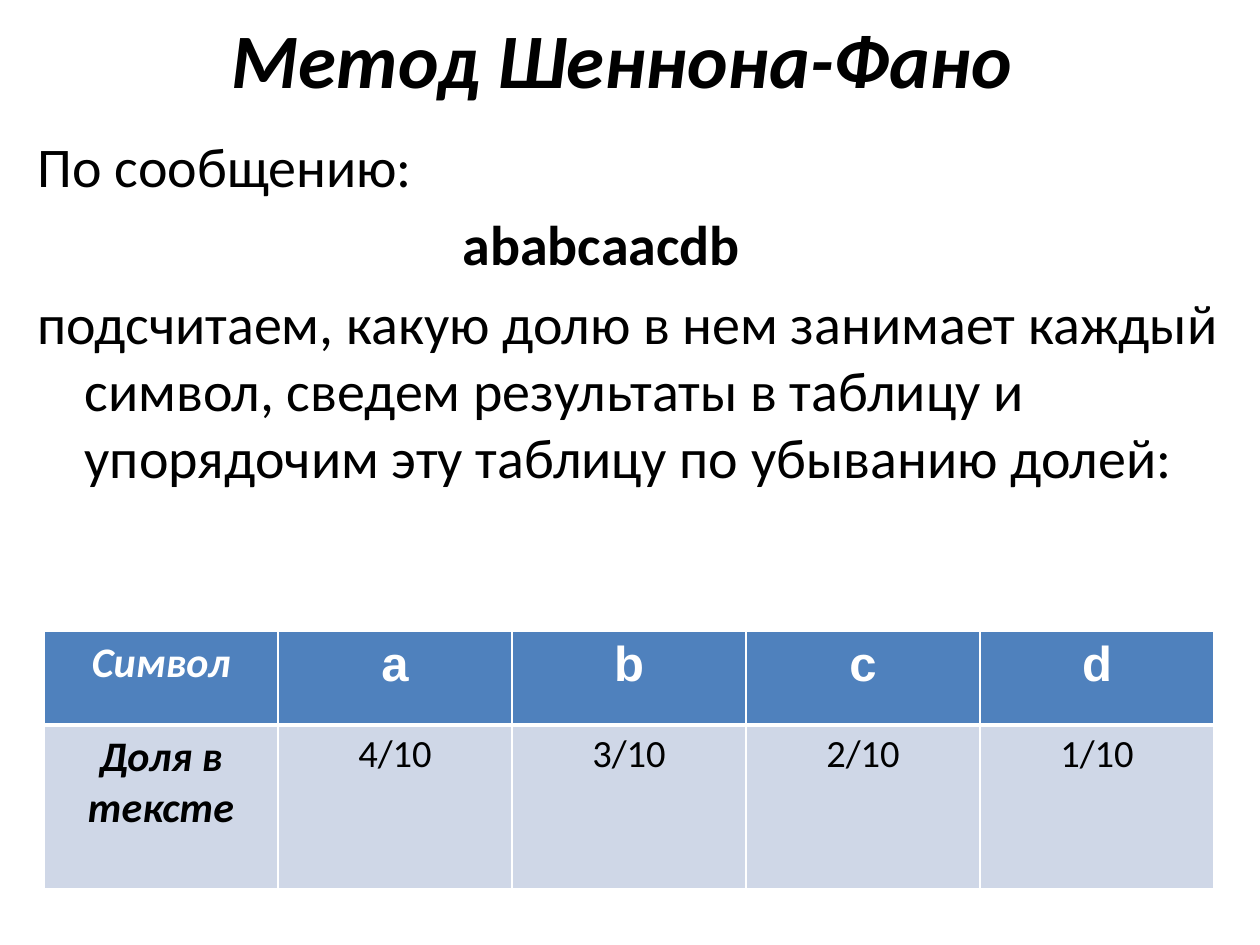
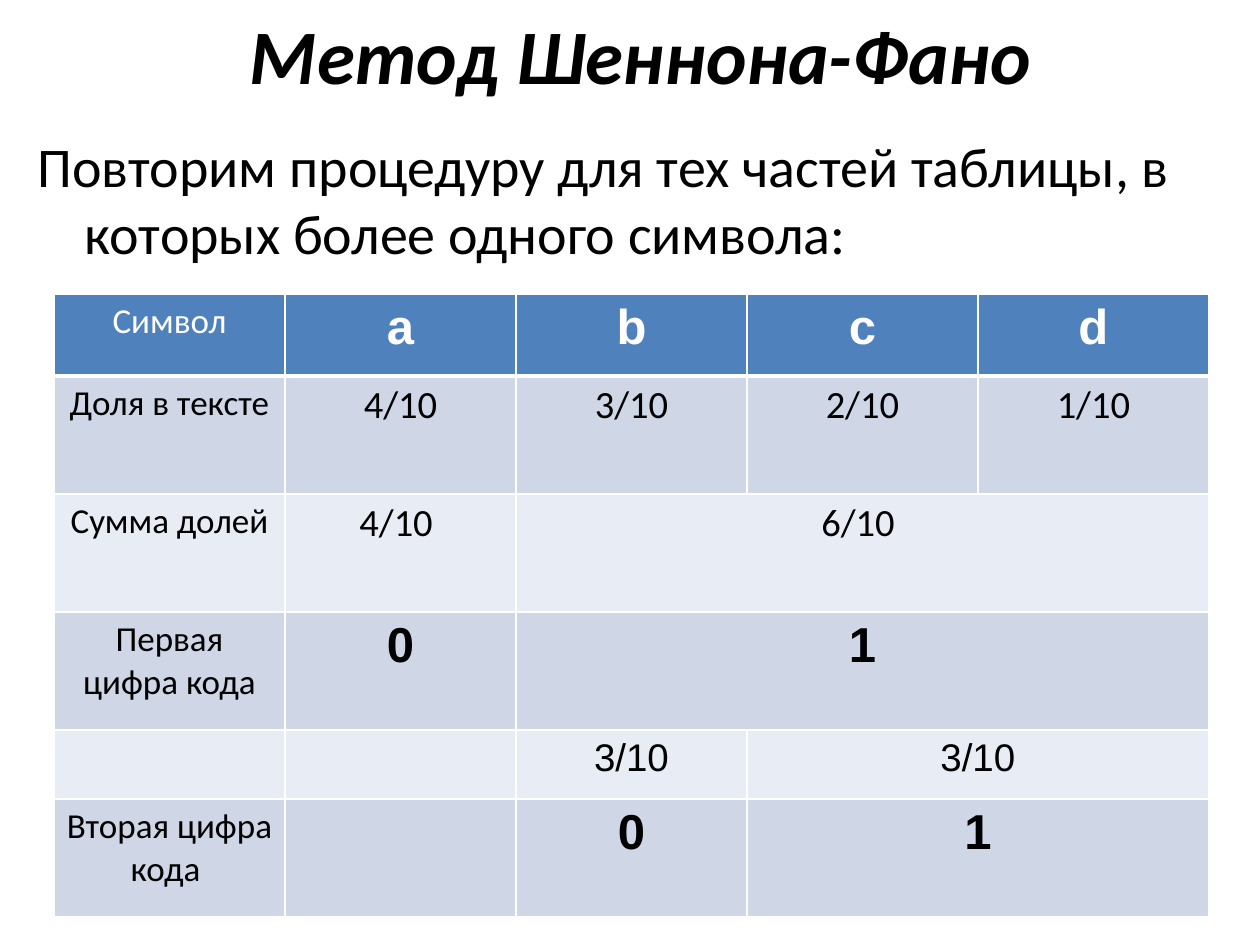
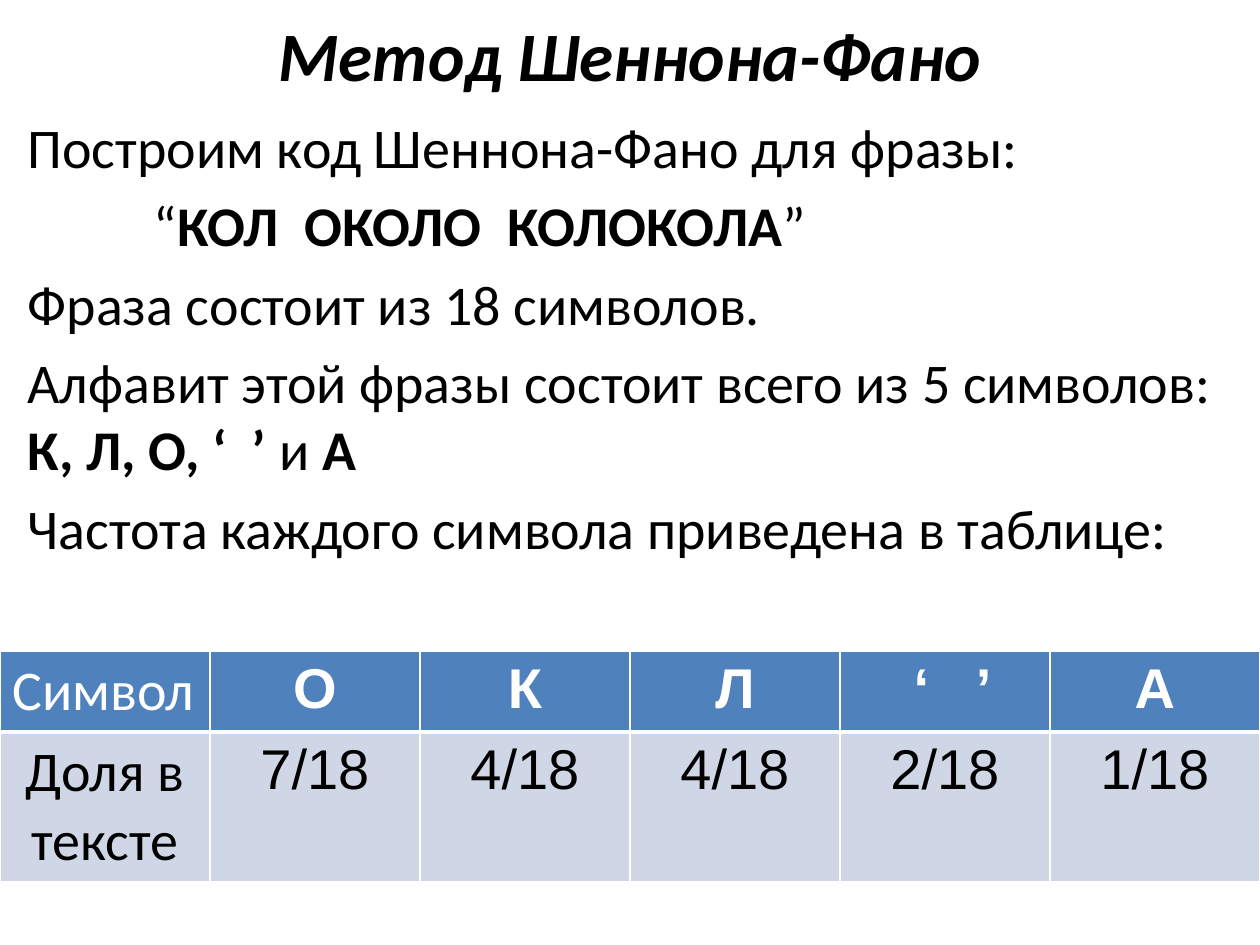
from lxml.etree import SubElement
from pptx import Presentation
from pptx.dml.color import RGBColor
from pptx.enum.text import MSO_ANCHOR, MSO_AUTO_SIZE, PP_ALIGN
from pptx.oxml import parse_xml
from pptx.oxml.ns import nsdecls, qn
from pptx.util import Emu, Pt

THEME = {
    "ink": "000000",
    "paper": "FFFFFF",
    "header": "4F81BD",
    "bands": ["E8ECF4", "CFD7E7"],
    "thin": Pt(1),
    "thick": Pt(3),
    "gap": Pt(6.4),
    "fonts": {
        "title": {"name": "Calibri", "size": Pt(44), "bold": True, "italic": True},
        "small title": {"name": "Calibri", "size": Pt(39.6), "bold": True, "italic": True},
        "body": {"name": "Calibri", "size": Pt(32), "bold": False},
        "strong": {"name": "Calibri", "size": Pt(32), "bold": True},
        "accent": {"name": "Calibri", "size": Pt(24), "bold": True, "italic": True},
        "label": {"name": "Calibri", "size": Pt(20), "bold": False},
        "symbol": {"name": "Arial", "size": Pt(28), "bold": True},
        "share": {"name": "Calibri", "size": Pt(22), "bold": False},
        "subtotal": {"name": "Arial", "size": Pt(22), "bold": False},
        "large head": {"name": "Calibri", "size": Pt(32), "bold": False},
        "large symbol": {"name": "Arial", "size": Pt(32), "bold": True},
        "large share": {"name": "Arial", "size": Pt(32), "bold": False},
    },
}

SLIDES = [
    {
        "title": ("Метод Шеннона-Фано ", "title", (64, 0, 1134, 116)),
        "body_at": (25, 125, 1211, 804),
        "paras": [
            (47, -47, [("По сообщению:", "body")]),
            (425, 0, [("ababcaacdb", "strong")]),
            (47, -47, [("подсчитаем, какую долю в нем занимает каждый символ, сведем "
                        "результаты в таблицу и упорядочим эту таблицу по убыванию долей:", "body")]),
        ],
        "table_at": (44, 631),
        "column": 234,
        "rows": [
            (94, "accent", "symbol", ["Символ", "a", "b", "c", "d"]),
            (164, "accent", "share", ["Доля в тексте", "4/10", "3/10", "2/10", "1/10"]),
        ],
    },
    {
        "title": ("Метод Шеннона-Фано", "title", (74, 0, 1134, 107)),
        "body_at": (25, 125, 1201, 794),
        "paras": [
            (47, -47, [("Повторим процедуру для тех частей таблицы, в которых "
                        "более одного символа: ", "body")]),
        ],
        "table_at": (54, 294),
        "column": 231,
        "rows": [
            (82, "label", "symbol", ["Символ", "a", "b", "c", "d"]),
            (118, "label", "share", ["Доля в тексте", "4/10", "3/10", "2/10", "1/10"]),
            (118, "label", "share", ["Сумма долей ", "4/10 ", "6/10 ", None, None]),
            (118, "label", "symbol", ["Первая цифра кода", "0", "1", None, None]),
            (69, "label", "subtotal", ["", "", "3/10", "3/10", None]),
            (118, "label", "symbol", ["Вторая цифра кода ", "", "0", "1", None]),
        ],
    },
    {
        "title": ("Метод Шеннона-Фано", "small title", (63, 3, 1134, 102)),
        "body_at": (15, 106, 1230, 839),
        "paras": [
            (0, 0, [("Построим код Шеннона-Фано для фразы:", "body")]),
            (126, 0, [("“", "body"), ("КОЛ  ОКОЛО  КОЛОКОЛА", "strong"), ("”", "body")]),
            (0, 0, [("Фраза состоит из 18 символов.", "body")]),
            (0, 0, [("Алфавит этой фразы состоит всего из 5 символов: ", "body"),
                    ("К, Л, О, ‘  ’ ", "strong"), ("и ", "body"), ("А", "strong")]),
            (0, 0, [("Частота каждого символа приведена в таблице:", "body")]),
        ],
        "table_at": (0, 651),
        "column": 210,
        "rows": [
            (81, "large head", "large symbol", ["Символ", "О", "К", "Л", " ‘   ’", "А"]),
            (148, "body", "large share", ["Доля в тексте", "7/18", "4/18", "4/18", "2/18", "1/18"]),
        ],
    },
]


def px(length):
    return Emu(round(length * 914400 / 126))


def add_span(para, text, style, colour):
    span = para.add_run()
    span.text = text
    for key, value in THEME["fonts"][style].items():
        setattr(span.font, key, value)
    span.font.color.rgb = RGBColor.from_string(colour)


deck = Presentation()
deck.slide_width, deck.slide_height = px(1260), px(945)

for content in SLIDES:
    page = deck.slides.add_slide(deck.slide_layouts[1])
    title, body = page.shapes.title, page.placeholders[1]
    title_text, title_style, title_at = content["title"]
    for box, place, anchor in [(title, title_at, MSO_ANCHOR.MIDDLE),
                               (body, content["body_at"], MSO_ANCHOR.TOP)]:
        for side, length in zip(("left", "top", "width", "height"), place):
            setattr(box, side, px(length))
        frame = box.text_frame
        for key, value in {"word_wrap": True, "auto_size": MSO_AUTO_SIZE.NONE,
                           "vertical_anchor": anchor}.items():
            setattr(frame, key, value)

    heading = title.text_frame.paragraphs[0]
    heading.alignment = PP_ALIGN.CENTER
    add_span(heading, title_text, title_style, THEME["ink"])

    for index, (margin, indent, spans) in enumerate(content["paras"]):
        frame = body.text_frame
        para = frame.add_paragraph() if index else frame.paragraphs[0]
        para.space_before = THEME["gap"] if index else Pt(0)
        props = para._p.get_or_add_pPr()
        props.set("marL", str(px(margin)))
        props.set("indent", str(px(indent)))
        SubElement(props, qn("a:buNone"))
        for text, style in spans:
            add_span(para, text, style, THEME["ink"])

    rows = content["rows"]
    columns = len(rows[0][3])
    left, top = content["table_at"]
    table = page.shapes.add_table(
        len(rows), columns, px(left), px(top),
        px(content["column"] * columns), px(sum(row[0] for row in rows))).table
    for column in table.columns:
        column.width = px(content["column"])

    for r, (height, label_style, value_style, texts) in enumerate(rows):
        table.rows[r].height = px(height)
        fill = THEME["bands"][r % 2] if r else THEME["header"]
        colour = THEME["ink"] if r else THEME["paper"]
        for c, text in enumerate(texts):
            cell = table.cell(r, c)
            cell.fill.solid()
            cell.fill.fore_color.rgb = RGBColor.from_string(fill)
            widths = {"lnL": THEME["thin"], "lnR": THEME["thin"],
                      "lnT": THEME["thick"] if r == 1 else THEME["thin"],
                      "lnB": THEME["thin"] if r else THEME["thick"]}
            for position, (edge, width) in enumerate(widths.items()):
                cell._tc.get_or_add_tcPr().insert(position, parse_xml(
                    f'<a:{edge} {nsdecls("a")} w="{width}"><a:solidFill>'
                    f'<a:srgbClr val="{THEME["paper"]}"/></a:solidFill></a:{edge}>'))
            if text:
                style = value_style if c else label_style
                para = cell.text_frame.paragraphs[0]
                para.alignment = PP_ALIGN.LEFT if style == "large head" else PP_ALIGN.CENTER
                add_span(para, text, style, colour)
                last = c
                while last + 1 < columns and texts[last + 1] is None:
                    last += 1
                if last > c:
                    cell.merge(table.cell(r, last))

deck.save("out.pptx")
